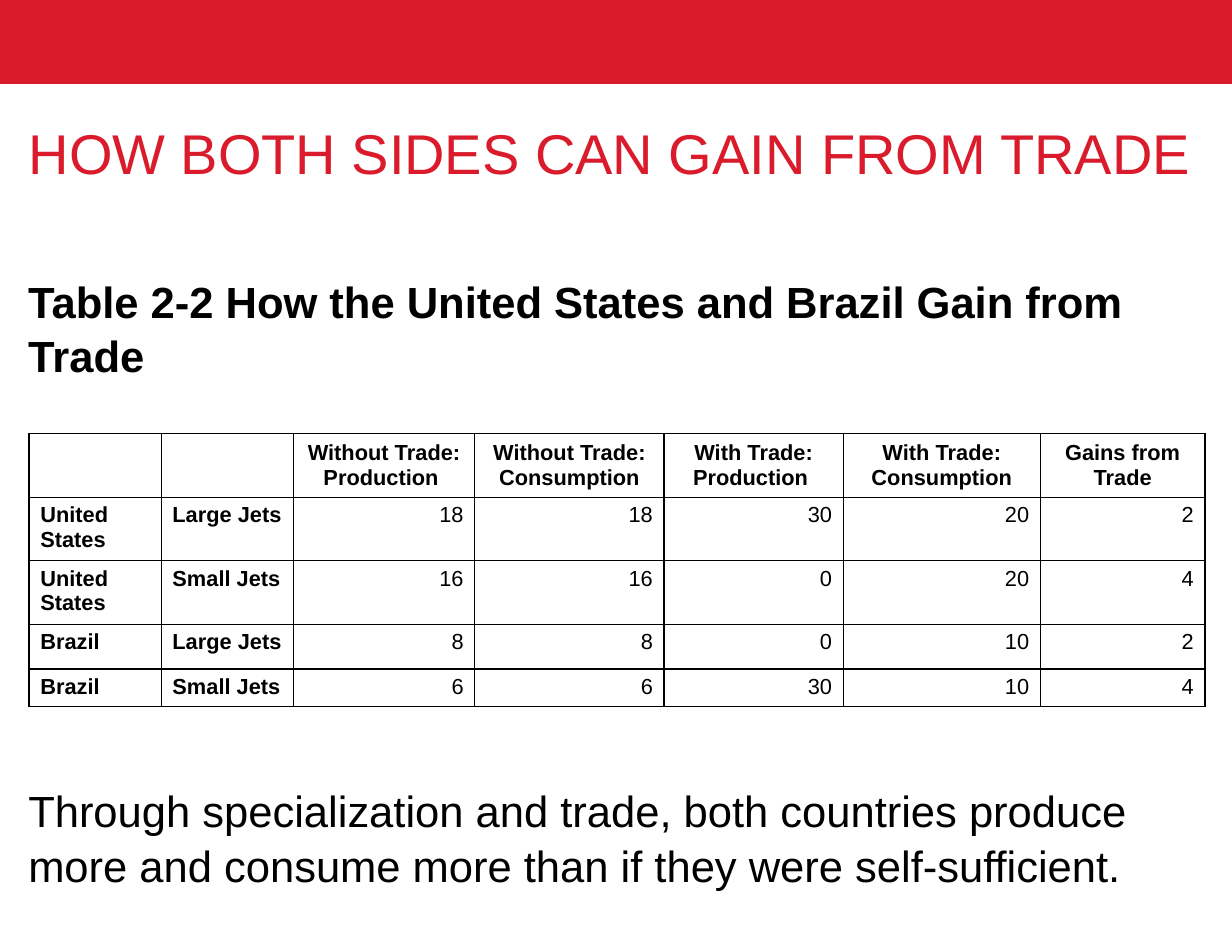
from pptx import Presentation
from pptx.dml.color import RGBColor
from pptx.enum.shapes import MSO_SHAPE
from pptx.enum.text import MSO_ANCHOR, PP_ALIGN
from pptx.oxml import parse_xml
from pptx.oxml.ns import nsdecls
from pptx.util import Inches, Pt

W, H = Inches(11), Inches(8.5)
RED, BLACK, WHITE = "DA1B2C", "000000", "FFFFFF"
COLS = [1.18, 1.18, 1.62, 1.69, 1.6, 1.76, 1.47]
ROWS = [0.57, 0.54, 0.54, 0.4, 0.32]
HEADER = ["", "", "Without Trade:\nProduction ", "Without Trade:\nConsumption",
          "With Trade: Production ", "With Trade: Consumption", "Gains from Trade"]
DATA = [
    ["United States", "Large Jets", 18, 18, 30, 20, 2],
    ["United States", "Small Jets", 16, 16, 0, 20, 4],
    ["Brazil", "Large Jets", 8, 8, 0, 10, 2],
    ["Brazil", "Small Jets", 6, 6, 30, 10, 4],
]


def rgb(color):
    """Turn a hex string into a colour."""
    return RGBColor.from_string(color)


def write(tf, text, size=28, color=BLACK, bold=False, align=PP_ALIGN.LEFT,
          before=0, spacing=None):
    """Fill a text frame, one paragraph per line of text."""
    for i, line in enumerate(text.split("\n")):
        p = tf.add_paragraph() if i else tf.paragraphs[0]
        p.alignment, p.space_before, p.line_spacing = align, Pt(before), spacing
        if not line:
            p.font.size = Pt(size)
            continue
        r = p.add_run()
        r.text = line
        r.font.name, r.font.size, r.font.bold = "Arial", Pt(size), bold
        r.font.color.rgb = rgb(color)


def add_band(s):
    """Draw the red band along the top edge."""
    sp = s.shapes.add_shape(MSO_SHAPE.RECTANGLE, 0, Inches(-0.02), W, Inches(0.77))
    sp.shadow.inherit = False
    sp.fill.solid()
    sp.fill.fore_color.rgb = rgb(RED)
    sp.line.fill.background()


def add_text(s, text, x, y, w, h, anchor=MSO_ANCHOR.TOP, **fmt):
    """Add a wrapped text box placed by shares of the slide."""
    sp = s.shapes.add_textbox(int(W * x), int(H * y), int(W * w), int(H * h))
    tf = sp.text_frame
    tf.word_wrap, tf.vertical_anchor = True, anchor
    tf.margin_left = tf.margin_right = tf.margin_top = tf.margin_bottom = Inches(0.1)
    write(tf, text, **fmt)


def add_borders(cell):
    """Rule all four sides of a cell in black."""
    pr = cell._tc.get_or_add_tcPr()
    for i, side in enumerate(("lnL", "lnR", "lnT", "lnB")):
        pr.insert(i, parse_xml(
            f'<a:{side} {nsdecls("a")} w="{Pt(1)}"><a:solidFill>'
            f'<a:srgbClr val="{BLACK}"/></a:solidFill></a:{side}>'))


def add_trade_table(s, x, y):
    """Add the table of production, consumption and gains."""
    frame = s.shapes.add_table(len(ROWS), len(COLS), Inches(x), Inches(y),
                               Inches(sum(COLS)), Inches(sum(ROWS)))
    table = frame.table
    for col, width in zip(table.columns, COLS):
        col.width = Inches(width)
    for row, height in zip(table.rows, ROWS):
        row.height = Inches(height)
    for i, values in enumerate([HEADER] + DATA):
        for j, value in enumerate(values):
            cell = table.cell(i, j)
            cell.fill.solid()
            cell.fill.fore_color.rgb = rgb(WHITE)
            cell.vertical_anchor = MSO_ANCHOR.TOP if i else MSO_ANCHOR.MIDDLE
            number = isinstance(value, int)
            align = PP_ALIGN.RIGHT if number else PP_ALIGN.LEFT if i else PP_ALIGN.CENTER
            write(cell.text_frame, str(value), size=14, bold=not number, align=align)
            add_borders(cell)


def main():
    """Build and save the slide."""
    prs = Presentation()
    prs.slide_width, prs.slide_height = W, H
    s = prs.slides.add_slide(prs.slide_layouts[6])
    add_band(s)
    add_text(s, "HOW BOTH SIDES CAN GAIN FROM TRADE", 0, 0.095, 0.99, 0.13,
             anchor=MSO_ANCHOR.MIDDLE, size=36, color=RED, align=PP_ALIGN.CENTER,
             before=6.2)
    add_text(s, "Table 2-2 How the United States and Brazil Gain from Trade",
             0.014, 0.275, 0.974, 0.12, bold=True, before=6.2, spacing=1.04)
    add_trade_table(s, 0.26, 3.87)
    add_text(s, "Through specialization and trade, both countries produce more "
             "and consume more than if they were self-sufficient.",
             0.014, 0.81, 0.976, 0.15, before=6.2, spacing=1.04)
    prs.save("out.pptx")


if __name__ == "__main__":
    main()
